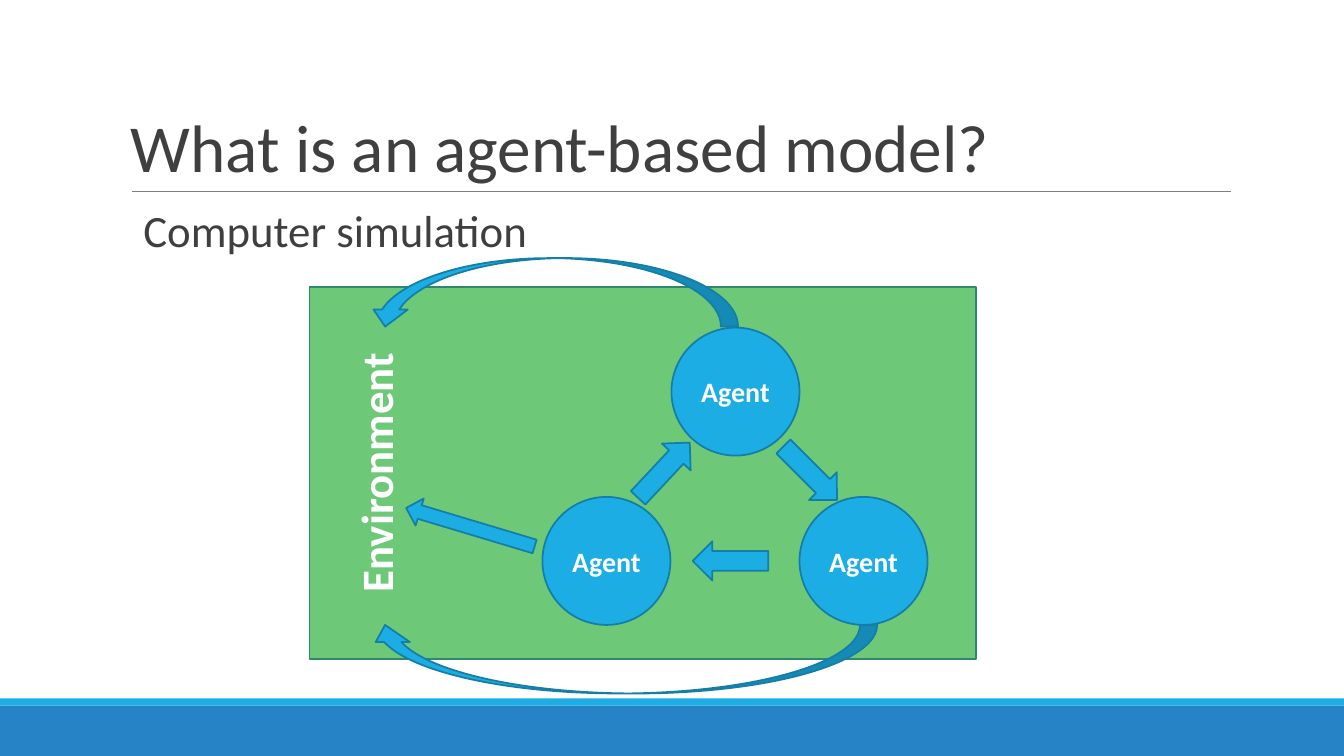
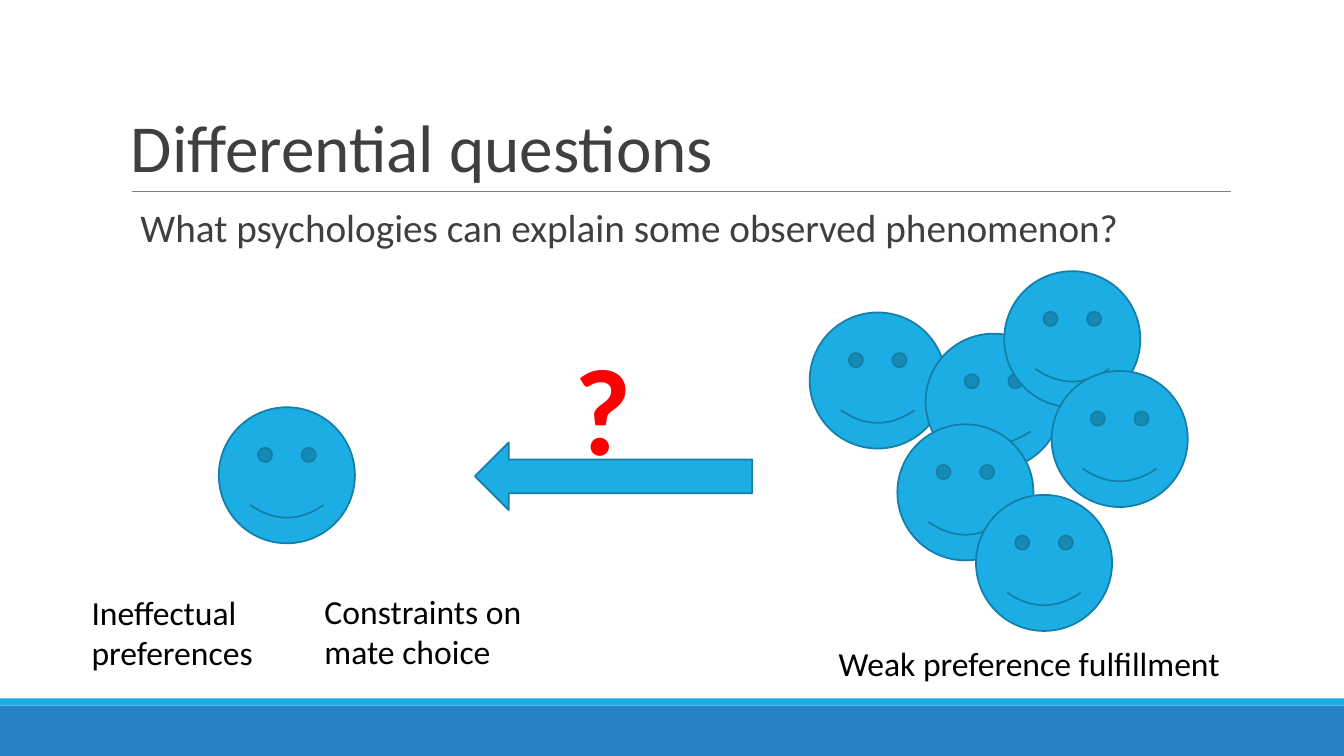
from lxml import etree
from pptx import Presentation
from pptx.dml.color import RGBColor
from pptx.enum.shapes import MSO_CONNECTOR, MSO_SHAPE
from pptx.enum.text import MSO_ANCHOR, PP_ALIGN
from pptx.oxml.ns import qn
from pptx.util import Pt

PX = 9144  # EMU in one px, 100 px to the inch
WIDE, HIGH = 1333, 750
FONT = "Calibri"
HUES = {
    "band": "2683C6", "blue": "1CADE4", "edge": "147EA6", "rule": "7F7F7F",
    "field": "6DC978", "rim": "30876E", "head": "3F3F3F", "white": "FFFFFF",
    "black": "000000", "red": "FF0000",
}
RECT, OVAL = MSO_SHAPE.RECTANGLE, MSO_SHAPE.OVAL
ARROW, CURVE = MSO_SHAPE.RIGHT_ARROW, MSO_SHAPE.CURVED_UP_ARROW
FACE = MSO_SHAPE.SMILEY_FACE
LINE = MSO_CONNECTOR.STRAIGHT
TOP, MID, LOW = MSO_ANCHOR.TOP, MSO_ANCHOR.MIDDLE, MSO_ANCHOR.BOTTOM
LEFT, MIDST = PP_ALIGN.LEFT, PP_ALIGN.CENTER


def px(*nums):
    return [round(n * PX) for n in nums]


def hue(name):
    return RGBColor.from_string(HUES[name])


def draw(slide, kind, box, fill="blue", edge="edge", turn=0, flip=False):
    """Add a preset shape; an edge of None leaves out the outline."""
    shape = slide.shapes.add_shape(kind, *px(*box))
    shape.shadow.inherit = False
    shape.fill.solid()
    shape.fill.fore_color.rgb = hue(fill)
    if edge:
        shape.line.color.rgb = hue(edge)
        shape.line.width = Pt(1.25)
    else:
        shape.line.fill.background()
    shape.rotation = turn
    if flip:
        shape.element.spPr.get_or_add_xfrm().set("flipH", "1")
    return shape


def write(shape, text, size=24, color="black", bold=False, align=LEFT,
          anchor=TOP, space=1.0, inset=10, hang=0):
    """Set the text of a shape; hang gives a blank bullet with that indent."""
    frame = shape.text_frame
    frame.word_wrap = True
    frame.vertical_anchor = anchor
    frame.margin_left, frame.margin_right = px(inset, inset)
    frame.margin_top, frame.margin_bottom = px(5, 5)
    para = frame.paragraphs[0]
    if hang:
        props = para._p.get_or_add_pPr()
        props.set("marL", str(hang * PX))
        props.set("indent", str(-hang * PX))
        tint = etree.SubElement(props, qn("a:buClr"))
        etree.SubElement(tint, qn("a:srgbClr")).set("val", HUES["blue"])
        etree.SubElement(props, qn("a:buChar")).set("char", " ")
    para.alignment = align
    para.line_spacing = space
    run = para.add_run()
    run.text = text
    font = run.font
    font.name, font.size, font.bold = FONT, Pt(size), bold
    font.color.rgb = hue(color)


def label(slide, box, text, turn=0, **style):
    shape = slide.shapes.add_textbox(*px(*box))
    shape.rotation = turn
    write(shape, text, **style)


def base(deck):
    """Start a slide with the bands and the title rule."""
    slide = deck.slides.add_slide(deck.slide_layouts[6])
    draw(slide, RECT, (0, 700, WIDE, 50), "band", None)
    draw(slide, RECT, (0, 693, WIDE, 7), "blue", None)
    rule = slide.shapes.add_connector(LINE, *px(131, 190, 1221, 190))
    rule.line.color.rgb = hue("rule")
    rule.line.width = Pt(0.75)
    etree.SubElement(rule._element.spPr, qn("a:effectLst"))
    return slide


def heads(slide, title, lead, size):
    """Title above the rule and lead line below it."""
    label(slide, (120, 31, 1100, 159), title, size=48, color="head",
          anchor=LOW, space=0.85)
    label(slide, (120, 202, 1100, 440), lead, size=size, color="head",
          space=0.9, inset=0, hang=10)


def model(slide, x, y, w, h):
    """Agents that act on each other and on the field around them."""
    draw(slide, RECT, (x, y, w, h), "field", "rim")
    for dx, dy in ((231, 208), (486, 208), (359, 40)):
        agent = draw(slide, OVAL, (x + dx, y + dy, 127, 127))
        write(agent, "Agent", size=20, color="white", bold=True,
              align=MIDST, anchor=MID)
    # Arrows between agents
    for dx, dy, turn in ((314, 162, 313.1), (459, 165, 45), (380, 252, 180)):
        draw(slide, ARROW, (x + dx, y + dy, 75, 39), turn=turn)
    # Arrows out to the field
    label(slide, (x - 66, y + 149, 263, 64), "Environment", turn=270,
          size=32, color="white", bold=True)
    draw(slide, CURVE, (x + 58, y - 29, 367, 68), turn=180)
    draw(slide, CURVE, (x + 58, y + 335, 505, 68), flip=True)
    draw(slide, ARROW, (x + 93, y + 224, 133, 28), turn=196.7)


def faces(slide, x, y, spots):
    for dx, dy in spots:
        draw(slide, FACE, (x + dx, y + dy, 135, 135))


def query(slide, x, y, w, h):
    """Arrow back from crowd to mind, under a large question mark."""
    draw(slide, ARROW, (x, y, w, h), turn=180)
    label(slide, (x + 89, y - 114, 97, 158), "?", size=88, color="red",
          bold=True)


def main():
    deck = Presentation()
    deck.slide_width, deck.slide_height = px(WIDE, HIGH)

    # Agent-based model
    slide = base(deck)
    model(slide, 307, 285, 661, 369)
    heads(slide, "What is an agent-based model?", "Computer simulation", 32)

    # Differential questions
    slide = base(deck)
    heads(slide, "Differential questions",
          "What psychologies can explain some observed phenomenon?", 28)
    faces(slide, 217, 404, [(0, 0)])
    faces(slide, 803, 269, [(0, 41), (115, 62), (87, 152), (193, 0),
                            (240, 99), (165, 222)])
    query(slide, 471, 439, 275, 67)
    for box, text in (
        ((312, 581, 247, 91), "Constraints on mate choice"),
        ((822, 633, 407, 50), "Weak preference fulfillment"),
        ((81, 582, 247, 91), "Ineffectual preferences"),
    ):
        label(slide, box, text)

    deck.save("out.pptx")


if __name__ == "__main__":
    main()
